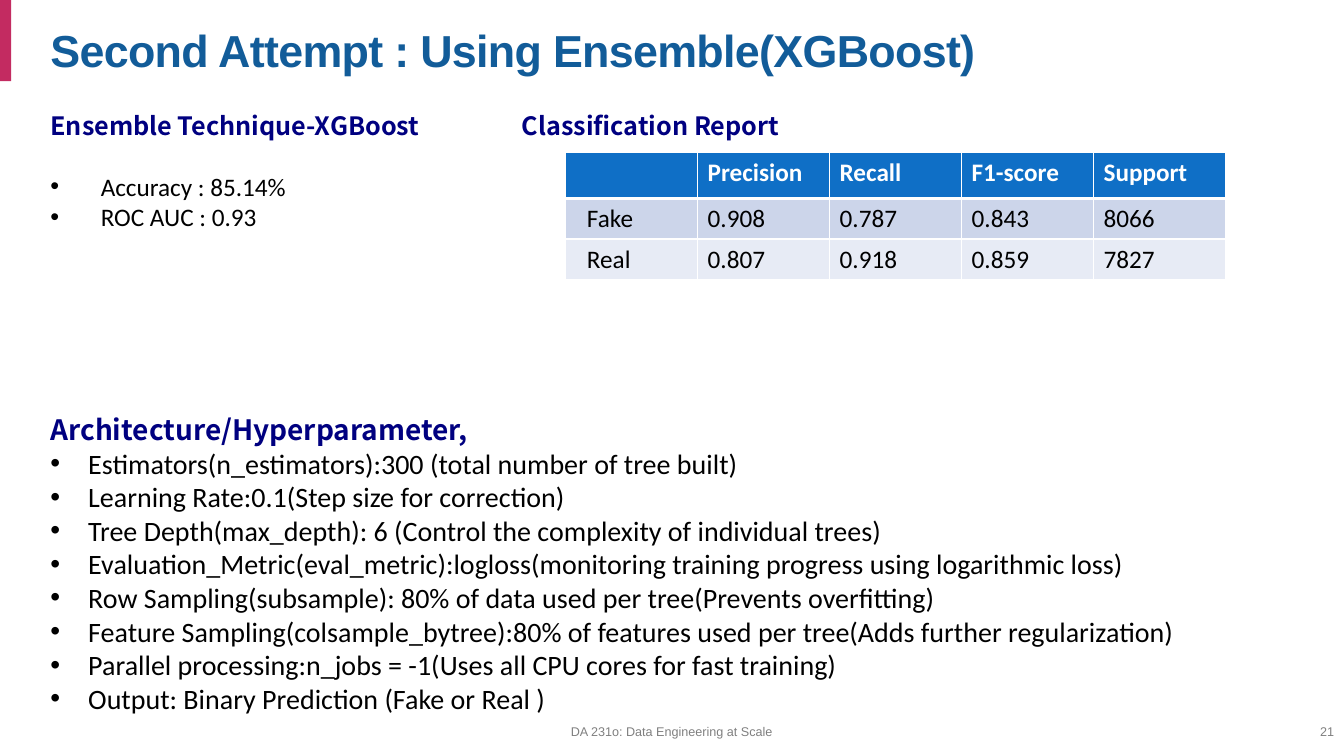
from dataclasses import dataclass

from lxml.etree import SubElement
from pptx import Presentation
from pptx.dml.color import RGBColor
from pptx.enum.shapes import MSO_SHAPE
from pptx.enum.text import MSO_ANCHOR, MSO_AUTO_SIZE, PP_ALIGN
from pptx.oxml.ns import qn
from pptx.util import Pt


@dataclass(frozen=True)
class Theme:
    title_font: str = "Arial"
    heading_font: str = "Noto Sans CJK SC"
    body_font: str = "Calibri"
    title_size: int = 32
    large_size: int = 20
    text_size: int = 18
    footer_size: int = 9
    title_color: str = "125C99"
    heading_color: str = "000080"
    text_color: str = "000000"
    footer_color: str = "808080"
    accent: str = "C32B61"
    white: str = "FFFFFF"
    header_fill: str = "0F6FC6"
    row_fills: tuple = ("CCD5EA", "E7EBF5")


THEME = Theme()
LEFT = 28.8

METRICS = ["Accuracy : 85.14%", "ROC AUC : 0.93"]
HYPERPARAMETERS = [
    "Estimators(n_estimators):300 (total number of tree built)",
    "Learning Rate:0.1(Step size for correction)",
    "Tree Depth(max_depth): 6 (Control the complexity of individual trees)",
    "Evaluation_Metric(eval_metric):logloss(monitoring training progress using logarithmic loss)",
    "Row Sampling(subsample): 80% of data used per tree(Prevents overfitting)",
    "Feature Sampling(colsample_bytree):80% of features used per tree(Adds further regularization)",
    "Parallel processing:n_jobs = -1(Uses all CPU cores for fast training)",
    "Output: Binary Prediction (Fake or Real )",
]
REPORT = [
    ["", "Precision", "Recall", "F1-score", "Support"],
    ["Fake", "0.908", "0.787", "0.843", "8066"],
    ["Real", "0.807", "0.918", "0.859", "7827"],
]


def place(shape, left, top, width, height):
    shape.left, shape.top = Pt(left), Pt(top)
    shape.width, shape.height = Pt(width), Pt(height)


def format_runs(paragraph, font, size, color, bold=False):
    for run in paragraph.runs:
        run.font.name = font
        run.font.size = Pt(size)
        run.font.color.rgb = RGBColor.from_string(color)
        run.font.bold = bold


def format_heading(paragraph, size):
    format_runs(paragraph, THEME.heading_font, size, THEME.heading_color, bold=True)


def set_bullet(paragraph, indent):
    """Give the paragraph a hanging bullet, or none when indent is 0."""
    properties = paragraph._p.get_or_add_pPr()
    properties.set("marL", str(Pt(indent)))
    properties.set("indent", str(-Pt(indent)))
    if indent:
        SubElement(properties, qn("a:buFont"), typeface="Arial")
        SubElement(properties, qn("a:buChar"), char="•")
    else:
        SubElement(properties, qn("a:buNone"))


def fill_title(title, text):
    place(title, LEFT, 8.6, 908, 49.7)
    frame = title.text_frame
    frame.text = text
    frame.auto_size = MSO_AUTO_SIZE.NONE
    frame.vertical_anchor = MSO_ANCHOR.BOTTOM
    paragraph = frame.paragraphs[0]
    paragraph.alignment = PP_ALIGN.LEFT
    paragraph.line_spacing = 0.85
    format_runs(paragraph, THEME.title_font, THEME.title_size, THEME.title_color, bold=True)
    paragraph.runs[0].font._element.set("spc", "-50")


def fill_list(body, box, heading, items, size, indent, gap=0):
    """Write a heading and bullets, with gap points between them."""
    place(body, *box)
    frame = body.text_frame
    frame.text = "\n".join([heading, *items])
    frame.auto_size = MSO_AUTO_SIZE.NONE
    for index, paragraph in enumerate(frame.paragraphs):
        paragraph.space_before = Pt(gap if index == 1 else 0)
        set_bullet(paragraph, indent if index else 0)
        if index:
            format_runs(paragraph, THEME.body_font, size, THEME.text_color)
        else:
            format_heading(paragraph, size)


def add_text(slide, box, text, alignment=PP_ALIGN.LEFT):
    text_box = slide.shapes.add_textbox(*map(Pt, box))
    frame = text_box.text_frame
    frame.word_wrap = True
    frame.text = text
    paragraph = frame.paragraphs[0]
    paragraph.alignment = alignment
    return frame


def add_footer(slide, left, width, text, alignment):
    frame = add_text(slide, (left, 508.3, width, 28.8), text, alignment)
    frame.vertical_anchor = MSO_ANCHOR.MIDDLE
    format_runs(frame.paragraphs[0], THEME.title_font, THEME.footer_size, THEME.footer_color)


def add_accent(slide):
    bar = slide.shapes.add_shape(MSO_SHAPE.RECTANGLE, 0, 0, Pt(8), Pt(58))
    bar.shadow.inherit = False
    bar.fill.solid()
    bar.fill.fore_color.rgb = RGBColor.from_string(THEME.accent)
    bar.line.fill.background()


def set_borders(cell, widths):
    properties = cell._tc.get_or_add_tcPr()
    for side, width in widths.items():
        line = SubElement(properties, qn(f"a:ln{side}"), w=str(Pt(width)))
        fill = SubElement(line, qn("a:solidFill"))
        SubElement(fill, qn("a:srgbClr"), val=THEME.white)


def add_report(slide, left, top, column_width, row_heights):
    rows, columns = len(REPORT), len(REPORT[0])
    table = slide.shapes.add_table(
        rows, columns, Pt(left), Pt(top), Pt(column_width * columns), Pt(sum(row_heights))
    ).table
    for column in table.columns:
        column.width = Pt(column_width)
    for r, (values, height) in enumerate(zip(REPORT, row_heights)):
        table.rows[r].height = Pt(height)
        header = r == 0
        color = THEME.white if header else THEME.text_color
        fill = THEME.header_fill if header else THEME.row_fills[r - 1]
        for c, value in enumerate(values):
            cell = table.cell(r, c)
            set_borders(cell, {"L": 1, "R": 1, "T": 3 if r == 1 else 1, "B": 3 if header else 1})
            cell.fill.solid()
            cell.fill.fore_color.rgb = RGBColor.from_string(fill)
            cell.margin_left = Pt(7.2 if c else 15.3)
            cell.text_frame.text = value
            format_runs(cell.text_frame.paragraphs[0], THEME.body_font, THEME.text_size, color, header)


def main():
    presentation = Presentation()
    presentation.slide_width, presentation.slide_height = Pt(960), Pt(540)
    slide = presentation.slides.add_slide(presentation.slide_layouts.get_by_name("Two Content"))
    title, metrics, hyperparameters = slide.placeholders

    add_accent(slide)
    fill_title(title, "Second Attempt : Using Ensemble(XGBoost)")
    fill_list(metrics, (LEFT, 75, 330, 100), "Ensemble Technique-XGBoost",
              METRICS, THEME.text_size, indent=36, gap=22)
    fill_list(hyperparameters, (LEFT, 291, 886, 227), "Architecture/Hyperparameter,",
              HYPERPARAMETERS, THEME.large_size, indent=27)

    report_heading = add_text(slide, (365.7, 75, 300, 30), "Classification Report")
    format_heading(report_heading.paragraphs[0], THEME.text_size)
    add_report(slide, 404, 108.7, 94.3, (33, 29, 29))

    add_footer(slide, 290, 379.5, "DA 231o: Data Engineering at Scale", PP_ALIGN.CENTER)
    add_footer(slide, 857, 103, "21", PP_ALIGN.RIGHT)
    presentation.save("out.pptx")


if __name__ == "__main__":
    main()
